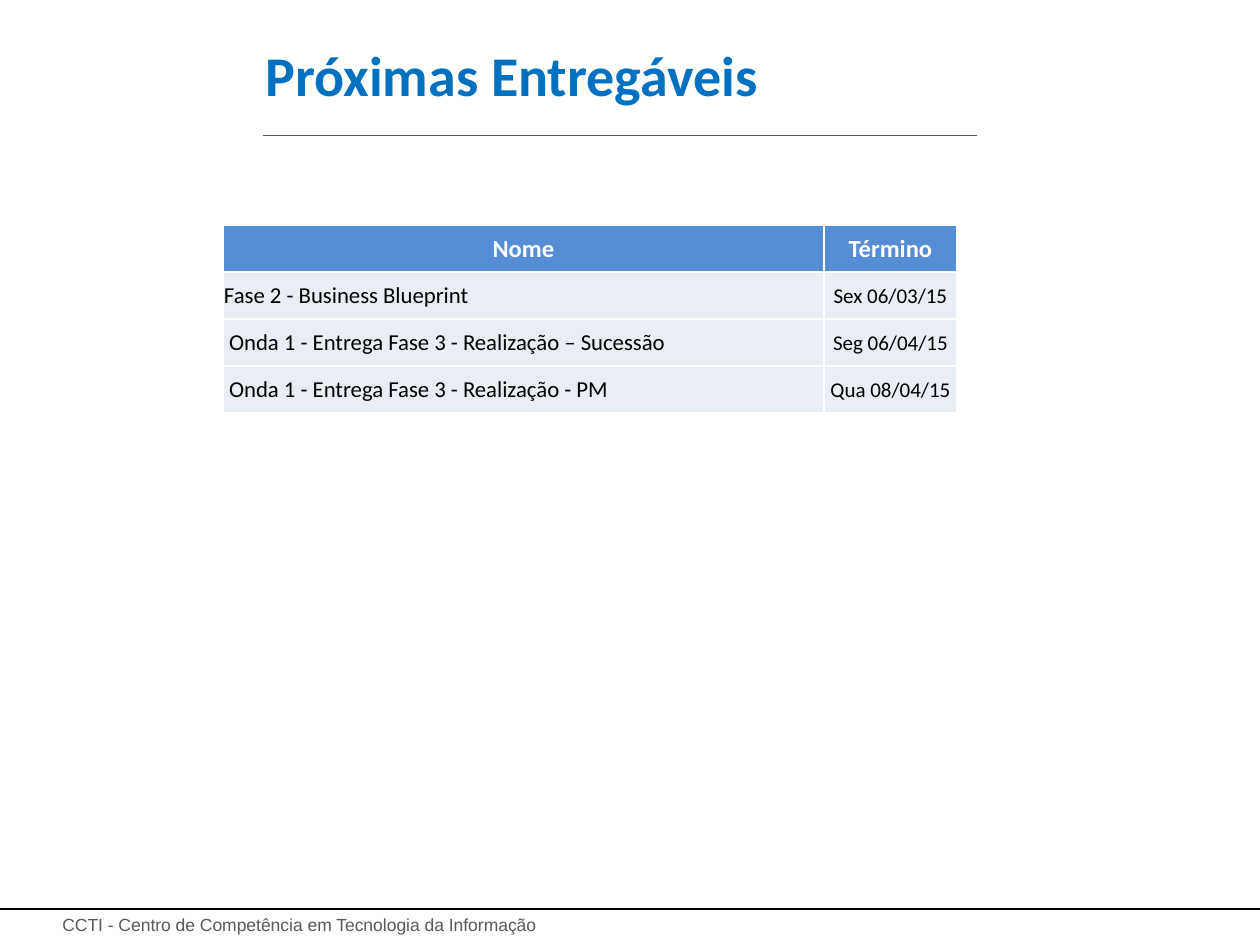
from dataclasses import dataclass

from lxml.etree import SubElement
from pptx import Presentation
from pptx.dml.color import RGBColor
from pptx.enum.shapes import MSO_CONNECTOR
from pptx.enum.text import MSO_ANCHOR as Anchor, PP_ALIGN as Align
from pptx.oxml.ns import qn
from pptx.util import Emu, Pt

PX_PER_INCH = 126


@dataclass(frozen=True)
class TextStyle:
    size: int
    color: str
    font: str = "Calibri"
    bold: bool = False


@dataclass(frozen=True)
class Theme:
    title: TextStyle = TextStyle(32, "0070C0", bold=True)
    footer: TextStyle = TextStyle(10, "595959", "Arial")
    header: TextStyle = TextStyle(14, "FFFFFF", bold=True)
    name: TextStyle = TextStyle(13, "000000")
    date: TextStyle = TextStyle(12, "000000")
    header_fill: str = "558ED5"
    body_fill: str = "E9EDF4"
    border: str = "FFFFFF"


@dataclass(frozen=True)
class Label:
    text: str
    left: int
    top: int
    width: int
    height: int
    style: TextStyle
    anchor: Anchor


@dataclass(frozen=True)
class Rule:
    left: int
    right: int
    y: int
    color: str
    points: float


@dataclass(frozen=True)
class Deliverable:
    name: str
    end: str


THEME = Theme()

LABELS = [
    Label("CCTI - Centro de Competência em Tecnologia da Informação",
          50, 908, 620, 34, THEME.footer, Anchor.TOP),
    Label("Próximas Entregáveis", 253, 19, 777, 110, THEME.title, Anchor.MIDDLE),
]
RULES = [
    Rule(0, 1260, 909, "000000", 0.75),
    Rule(263, 977, 135, "595959", 0.5),
]
HEADINGS = Deliverable("Nome", "Término")
DELIVERABLES = [
    Deliverable("Fase 2 - Business Blueprint", "Sex 06/03/15"),
    Deliverable(" Onda 1 - Entrega Fase 3 - Realização – Sucessão", "Seg 06/04/15"),
    Deliverable(" Onda 1 - Entrega Fase 3 - Realização - PM", "Qua 08/04/15"),
]
TABLE_LEFT, TABLE_TOP, ROW_HEIGHT = 223, 225, 47
COLUMN_WIDTHS = (601, 133)


def px(value: int) -> Emu:
    return Emu(round(value * 914400 / PX_PER_INCH))


def write_text(text_frame, text: str, style: TextStyle, align=Align.LEFT) -> None:
    text_frame.text = text
    paragraph = text_frame.paragraphs[0]
    paragraph.alignment = align
    font = paragraph.runs[0].font
    font.name, font.size, font.bold = style.font, Pt(style.size), style.bold
    font.color.rgb = RGBColor.from_string(style.color)


def draw_label(slide, label: Label) -> None:
    shape = slide.shapes.add_textbox(
        px(label.left), px(label.top), px(label.width), px(label.height))
    shape.text_frame.word_wrap = True
    shape.text_frame.vertical_anchor = label.anchor
    write_text(shape.text_frame, label.text, label.style)


def draw_rule(slide, rule: Rule) -> None:
    connector = slide.shapes.add_connector(
        MSO_CONNECTOR.STRAIGHT, px(rule.left), px(rule.y), px(rule.right), px(rule.y))
    connector.line.color.rgb = RGBColor.from_string(rule.color)
    connector.line.width = Pt(rule.points)
    SubElement(connector._element.spPr, qn("a:effectLst"))


def add_borders(cell) -> None:
    properties = cell._tc.get_or_add_tcPr()
    for side in ("a:lnL", "a:lnR", "a:lnT", "a:lnB"):
        line = SubElement(properties, qn(side), w=str(Pt(1)))
        fill = SubElement(line, qn("a:solidFill"))
        SubElement(fill, qn("a:srgbClr"), val=THEME.border)


def fill_cell(cell, text: str, style: TextStyle, fill: str, align: Align) -> None:
    add_borders(cell)
    cell.fill.solid()
    cell.fill.fore_color.rgb = RGBColor.from_string(fill)
    cell.margin_left = cell.margin_right = cell.margin_top = px(1)
    cell.margin_bottom = 0
    cell.vertical_anchor = Anchor.MIDDLE
    write_text(cell.text_frame, text, style, align)


def draw_table(slide, headings: Deliverable, deliverables: list[Deliverable]) -> None:
    row_count = len(deliverables) + 1
    table = slide.shapes.add_table(
        row_count, len(COLUMN_WIDTHS), px(TABLE_LEFT), px(TABLE_TOP),
        px(sum(COLUMN_WIDTHS)), px(ROW_HEIGHT * row_count)).table
    for column, width in zip(table.columns, COLUMN_WIDTHS):
        column.width = px(width)
    for row in table.rows:
        row.height = px(ROW_HEIGHT)

    # Header row
    for column, text in enumerate((headings.name, headings.end)):
        fill_cell(table.cell(0, column), text, THEME.header,
                  THEME.header_fill, Align.CENTER)

    # One row per deliverable
    for row, item in enumerate(deliverables, start=1):
        fill_cell(table.cell(row, 0), item.name, THEME.name, THEME.body_fill, Align.LEFT)
        fill_cell(table.cell(row, 1), item.end, THEME.date, THEME.body_fill, Align.CENTER)


def main() -> None:
    presentation = Presentation()
    presentation.slide_width, presentation.slide_height = px(1260), px(945)
    slide = presentation.slides.add_slide(presentation.slide_layouts[6])

    # Title, footer and their rules
    for rule in RULES:
        draw_rule(slide, rule)
    for label in LABELS:
        draw_label(slide, label)

    # Upcoming deliverables
    draw_table(slide, HEADINGS, DELIVERABLES)
    presentation.save("out.pptx")


if __name__ == "__main__":
    main()
